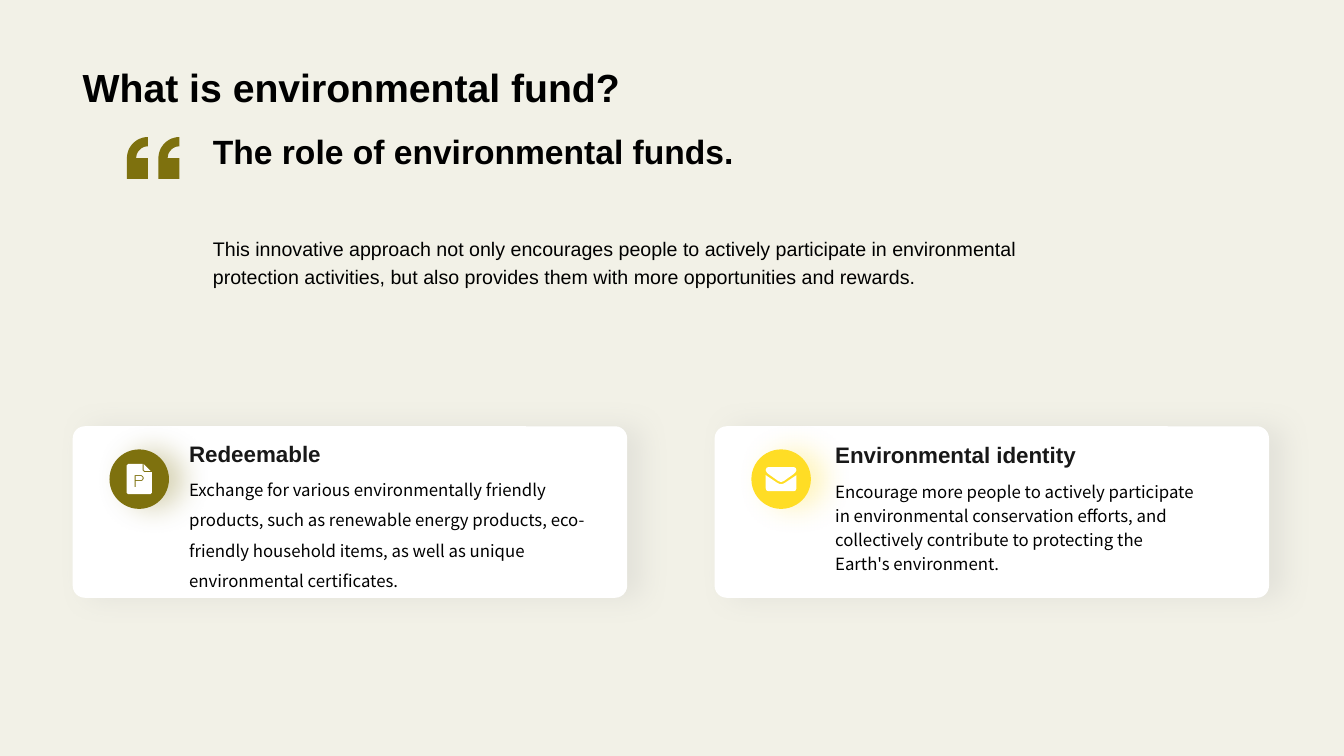
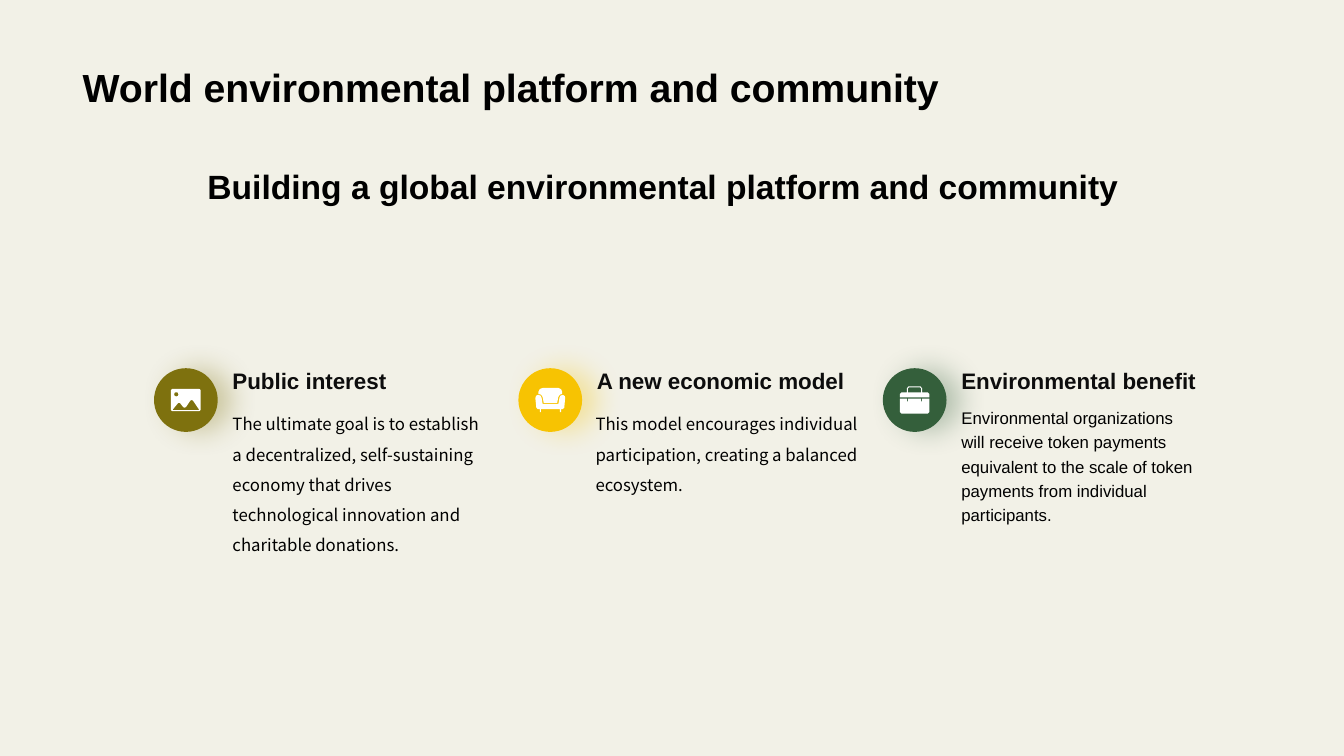
"""Build two slides about an environmental fund and its community platform."""
from dataclasses import dataclass
from math import cos, radians, sin

from lxml import etree
from pptx import Presentation
from pptx.dml.color import RGBColor
from pptx.enum.shapes import MSO_SHAPE
from pptx.enum.text import MSO_ANCHOR, PP_ALIGN
from pptx.oxml.ns import qn
from pptx.util import Pt

RECT, OVAL = MSO_SHAPE.ROUNDED_RECTANGLE, MSO_SHAPE.OVAL
TOP, BOTTOM = MSO_ANCHOR.TOP, MSO_ANCHOR.BOTTOM
LEFT, CENTER = PP_ALIGN.LEFT, PP_ALIGN.CENTER
PAGE, BLACK, WHITE = "F2F1E7", "000000", "FFFFFF"
OLIVE, YELLOW, AMBER, GREEN = "7E710E", "FFDD25", "F7C302", "345F3B"
ARIAL, NOTO = "Arial", "Noto Sans CJK SC"
UNIT = 0.1

Outline = list[tuple[float, float]]
Icon = list[Outline]


@dataclass(frozen=True)
class Box:
    """A rectangle in points."""

    x: float
    y: float
    w: float
    h: float


@dataclass(frozen=True)
class Style:
    """Text format; leading is a multiple of 1.2 times the size."""

    size: float
    bold: bool = False
    color: str = BLACK
    font: str = ARIAL
    leading: float = 1
    anchor: MSO_ANCHOR = TOP
    align: PP_ALIGN = LEFT


@dataclass(frozen=True)
class Feature:
    """An icon disc with a caption and a body text."""

    color: str
    icon: Icon
    caption: str
    caption_box: Box
    body: str
    body_box: Box
    body_style: Style


def arc(cx: float, cy: float, r: float, start: int, end: int) -> Outline:
    """Return points along an arc, angles in degrees clockwise from the right."""
    angles = [radians(start + (end - start) * i / 24) for i in range(25)]
    return [(cx + r * cos(a), cy + r * sin(a)) for a in angles]


def rounded(w: float, h: float, r: float) -> Outline:
    """Return the outline of a rounded rectangle at the origin."""
    corners = [(w - r, h - r), (r, h - r), (r, r), (w - r, r)]
    return [p for i, (x, y) in enumerate(corners)
            for p in arc(x, y, r, 90 * i, 90 * i + 90)]


def quote_mark(dx: float) -> Outline:
    """Return one opening quote mark moved right by dx."""
    x = dx + 150
    return [(x, 298), (x, 150), *arc(x, 150, 84, 180, 270),
            *arc(x, 150, 150, 270, 180), (dx, 298)]


QUOTE = [quote_mark(0), quote_mark(225)]
DOCUMENT = [
    [(10, 0), (115, 0), (115, 48), (125, 58), (180, 58), (180, 205),
     (170, 216), (10, 216), (0, 206), (0, 10)],
    [(122, 0), (122, 43), (130, 50), (172, 50)],
    [(57, 79), *arc(100, 101, 22, -90, 90), (65, 123), (65, 166), (57, 166)],
    [(65, 87), *arc(100, 101, 14, -90, 90), (65, 115)],
]
ENVELOPE = [
    [(0, 22), (6, 6), (20, 0), (200, 0), (214, 6), (220, 22), (214, 36),
     (200, 50), (130, 100), (110, 108), (90, 100), (20, 50), (6, 36)],
    [(0, 58), (80, 112), (96, 120), (110, 122), (124, 120), (140, 112),
     (220, 58), (220, 152), (214, 168), (200, 173), (20, 173), (6, 168),
     (0, 152)],
]
LANDSCAPE = [
    rounded(212, 158, 12),
    [(12, 148), (50, 102), (57, 98), (65, 101), (88, 130), (98, 134),
     (108, 128), (138, 84), (148, 78), (158, 84), (200, 146), (200, 152),
     (14, 152)],
    arc(38, 38, 15, 0, 360),
]
SOFA = [
    [(20, 50), (38, 56), (45, 72), (52, 115), (165, 115), (172, 72),
     (180, 56), (196, 50), (210, 58), (213, 72), (207, 142), (196, 152),
     (184, 152), (184, 174), (176, 174), (176, 152), (40, 152), (40, 174),
     (32, 174), (32, 152), (18, 152), (7, 142), (0, 72), (6, 56)],
    [(55, 0), (165, 0), (184, 10), (192, 28), (192, 43), (174, 50),
     (164, 66), (156, 107), (60, 107), (52, 66), (42, 50), (22, 43),
     (22, 28), (32, 8)],
]
BRIEFCASE = [
    [(0, 87), (50, 87), (50, 108), (58, 108), (58, 87), (152, 87),
     (152, 108), (160, 108), (160, 87), (212, 87), (212, 182), (200, 194),
     (12, 194), (0, 182)],
    [(0, 79), (0, 55), (12, 43), (50, 43), (50, 14), (62, 0), (148, 0),
     (160, 14), (160, 43), (200, 43), (212, 55), (212, 79)],
    [(58, 43), (58, 14), (66, 7), (144, 7), (152, 14), (152, 43)],
]

TITLE = Style(28, bold=True, anchor=BOTTOM)
HEADING = Style(24, bold=True)
CENTERED_HEADING = Style(24, bold=True, align=CENTER)
LEAD = Style(14, leading=1.2)
CARD_CAPTION = Style(16, bold=True, color="181818", anchor=BOTTOM)
COLUMN_CAPTION = Style(16, bold=True, color="0D0D0D", anchor=BOTTOM)
LOOSE = Style(12, font=NOTO, leading=1.5)
TIGHT = Style(12, font=NOTO, leading=1.2)
TIGHT_ARIAL = Style(12, leading=1.2)

CARD_X, CARD_Y, CARD_STEP = 52, 304.5, 458.5
COLUMN_X, COLUMN_Y, COLUMN_STEP = 110, 263, 260.3

CARDS = [
    Feature(OLIVE, DOCUMENT, "Redeemable", Box(76, 0.8, 274, 31.7),
            "Exchange for various environmentally friendly products, such as "
            "renewable energy products, eco-friendly household items, as well "
            "as unique environmental certificates.",
            Box(76, 27.5, 320, 94), LOOSE),
    Feature(YELLOW, ENVELOPE, "Environmental identity", Box(79, 1.5, 274, 32),
            "Encourage more people to actively participate in environmental "
            "conservation efforts, and collectively contribute to protecting "
            "the Earth's environment.",
            Box(79, 33, 274, 77), TIGHT),
]
COLUMN_CAPTION_BOX = Box(49, -6.5, 210, 28.5)
COLUMNS = [
    Feature(OLIVE, LANDSCAPE, "Public interest", COLUMN_CAPTION_BOX,
            "The ultimate goal is to establish a decentralized, "
            "self-sustaining economy that drives technological innovation "
            "and charitable donations.",
            Box(49, 22, 196.5, 138), LOOSE),
    Feature(AMBER, SOFA, "A new economic model", COLUMN_CAPTION_BOX,
            "This model encourages individual participation, creating a "
            "balanced ecosystem.",
            Box(48, 22, 210, 94), LOOSE),
    Feature(GREEN, BRIEFCASE, "Environmental benefit", COLUMN_CAPTION_BOX,
            "Environmental organizations will receive token payments "
            "equivalent to the scale of token payments from individual "
            "participants.",
            Box(49, 22, 182, 94), TIGHT_ARIAL),
]


def rgb(color: str) -> RGBColor:
    """Convert a hex string to a colour."""
    return RGBColor.from_string(color)


def paint(sp, color: str) -> None:
    """Fill a shape and take away its line and theme shadow."""
    sp.fill.solid()
    sp.fill.fore_color.rgb = rgb(color)
    sp.line.fill.background()
    sp.shadow.inherit = False


def add_shadow(sp, color: str, opacity: int) -> None:
    """Give a shape a soft shadow to the right, opacity in percent."""
    effects = sp.element.spPr.find(qn("a:effectLst"))
    shadow = etree.SubElement(effects, qn("a:outerShdw"), blurRad=str(Pt(20)),
                              dist=str(Pt(10)), dir="0", algn="ctr",
                              rotWithShape="0")
    tone = etree.SubElement(shadow, qn("a:srgbClr"), val=color)
    etree.SubElement(tone, qn("a:alpha"), val=str(opacity * 1000))


def add_panel(s, kind: MSO_SHAPE, box: Box, color: str, shadow: str, opacity: int):
    """Add a filled preset shape with a soft shadow."""
    sp = s.shapes.add_shape(kind, Pt(box.x), Pt(box.y), Pt(box.w), Pt(box.h))
    paint(sp, color)
    add_shadow(sp, shadow, opacity)
    return sp


def add_text(s, text: str, box: Box, style: Style) -> None:
    """Add a wrapped text box with one paragraph."""
    sp = s.shapes.add_textbox(Pt(box.x), Pt(box.y), Pt(box.w), Pt(box.h))
    tf = sp.text_frame
    p = tf.paragraphs[0]
    r = p.add_run()
    r.text = text
    r.font.color.rgb = rgb(style.color)
    formats = {
        tf: {"word_wrap": True, "vertical_anchor": style.anchor},
        p: {"alignment": style.align,
            "line_spacing": Pt(round(style.size * 1.2 * style.leading, 2))},
        r.font: {"name": style.font, "size": Pt(style.size), "bold": style.bold},
    }
    for target, values in formats.items():
        for name, value in values.items():
            setattr(target, name, value)


def add_icon(s, icon: Icon, x: float, y: float, color: str) -> None:
    """Draw the outlines of an icon as one freeform at a top left corner."""
    builder = s.shapes.build_freeform(*icon[0][0], scale=Pt(UNIT))
    for i, outline in enumerate(icon):
        if i:
            builder.move_to(*outline[0])
        builder.add_line_segments(outline[1:], close=True)
    paint(builder.convert_to_shape(Pt(x), Pt(y)), color)


def add_feature(s, item: Feature, x: float, y: float, disc: Box,
                caption: Style, opacity: int) -> None:
    """Add a disc with a centred icon and its texts, all relative to x and y."""
    place = Box(x + disc.x, y + disc.y, disc.w, disc.h)
    add_panel(s, OVAL, place, item.color, item.color, opacity)
    points = [p for outline in item.icon for p in outline]
    w, h = (max(axis) * UNIT for axis in zip(*points))
    add_icon(s, item.icon, place.x + (disc.w - w) / 2,
             place.y + (disc.h - h) / 2, WHITE)
    for text, box, style in ((item.caption, item.caption_box, caption),
                             (item.body, item.body_box, item.body_style)):
        add_text(s, text, Box(x + box.x, y + box.y, box.w, box.h), style)


def add_slide(prs, title: str):
    """Add a blank slide with the shared title."""
    s = prs.slides.add_slide(prs.slide_layouts[6])
    add_text(s, title, Box(52, 0, 855, 82.5), TITLE)
    return s


def add_fund_slide(prs) -> None:
    """Add the slide on the role of the fund, with two cards."""
    s = add_slide(prs, "What is environmental fund?")
    add_icon(s, QUOTE, 90.7, 97.9, OLIVE)
    add_text(s, "The role of environmental funds.", Box(145, 90, 553, 36), HEADING)
    add_text(s, "This innovative approach not only encourages people to actively "
             "participate in environmental protection activities, but also "
             "provides them with more opportunities and rewards.",
             Box(145, 162, 593, 61), LEAD)
    for i, item in enumerate(CARDS):
        x = CARD_X + i * CARD_STEP
        card = add_panel(s, RECT, Box(x, CARD_Y, 396, 122.5), WHITE, "A6A6A6", 20)
        card.adjustments[0] = 0.07
        add_feature(s, item, x, CARD_Y, Box(26.2, 16.5, 42.5, 42.5),
                    CARD_CAPTION, 30)


def add_community_slide(prs) -> None:
    """Add the slide on the platform, with three columns."""
    s = add_slide(prs, "World environmental platform and community")
    add_text(s, "Building a global environmental platform and community",
             Box(46, 115, 855, 36), CENTERED_HEADING)
    for i, item in enumerate(COLUMNS):
        add_feature(s, item, COLUMN_X + i * COLUMN_STEP, COLUMN_Y,
                    Box(0, 0, 45.5, 45.5), COLUMN_CAPTION, 32)


def main() -> None:
    """Build and save the presentation."""
    prs = Presentation()
    prs.slide_width, prs.slide_height = Pt(960), Pt(540)
    fill = prs.slide_master.background.fill
    fill.solid()
    fill.fore_color.rgb = rgb(PAGE)
    add_fund_slide(prs)
    add_community_slide(prs)
    prs.save("out.pptx")


if __name__ == "__main__":
    main()
